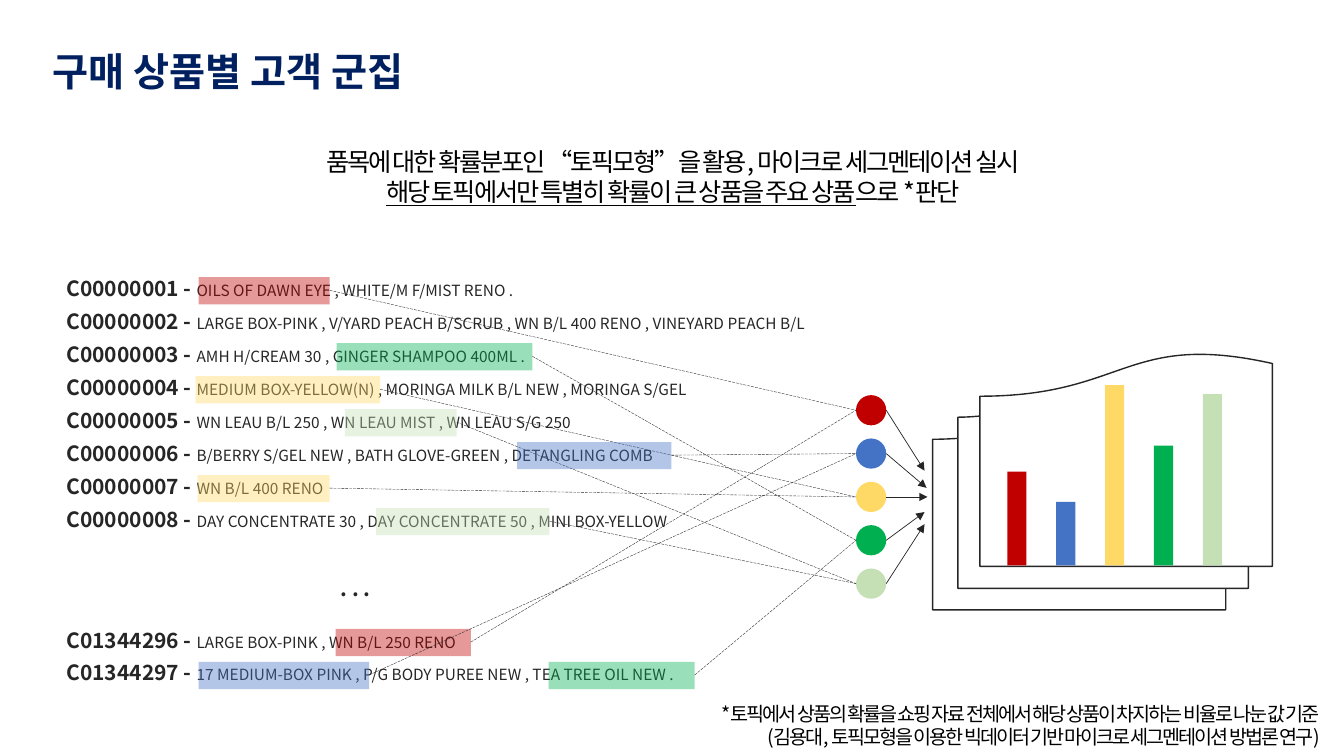
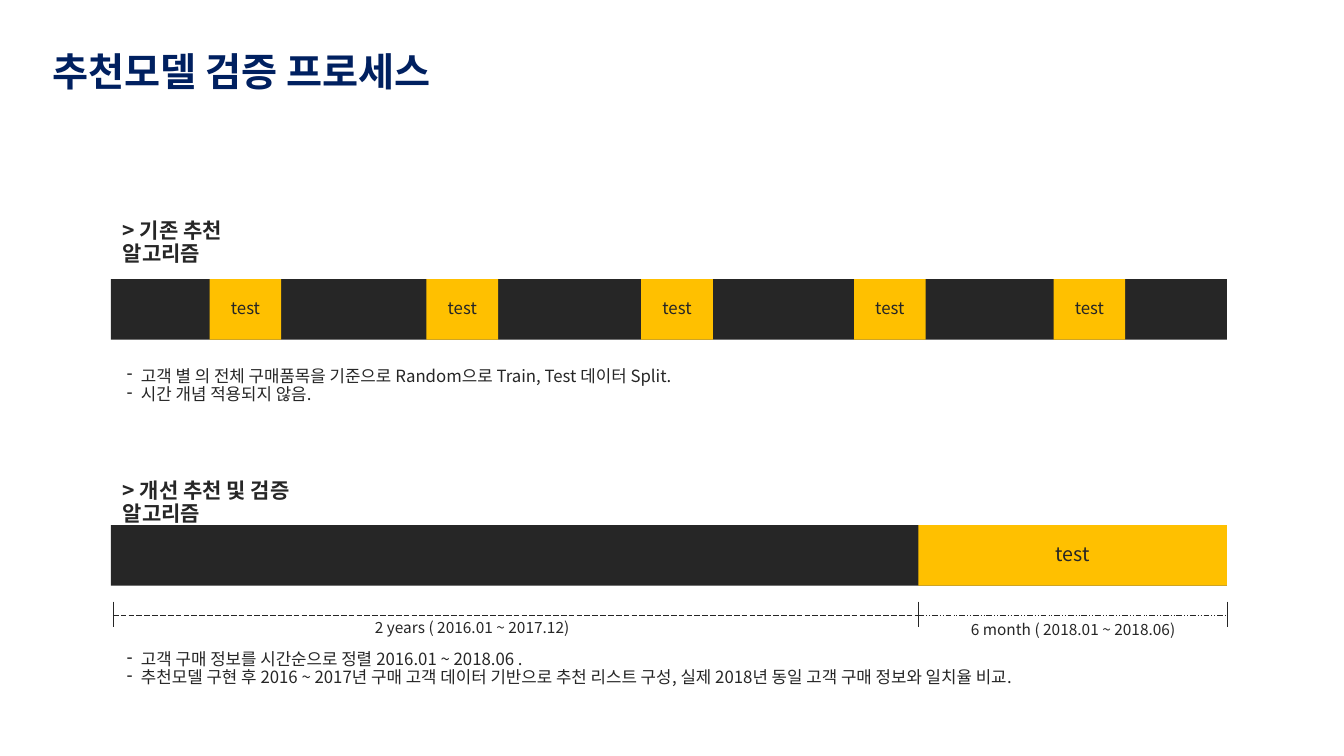
from pptx import Presentation
from pptx.dml.color import RGBColor
from pptx.enum.dml import MSO_LINE
from pptx.enum.shapes import MSO_CONNECTOR, MSO_SHAPE
from pptx.enum.text import MSO_ANCHOR, PP_ALIGN
from pptx.oxml.ns import qn
from pptx.util import Inches, Pt

RECT, OVAL = MSO_SHAPE.RECTANGLE, MSO_SHAPE.OVAL
PAPERS = MSO_SHAPE.FLOWCHART_MULTIDOCUMENT
STRAIGHT = MSO_CONNECTOR.STRAIGHT
LEFT, CENTER, RIGHT = PP_ALIGN.LEFT, PP_ALIGN.CENTER, PP_ALIGN.RIGHT
TOP, MIDDLE = MSO_ANCHOR.TOP, MSO_ANCHOR.MIDDLE
DASH, DASH_DOT = MSO_LINE.LONG_DASH, MSO_LINE.DASH_DOT_DOT

# Shared look
FONT = "Noto Sans CJK KR"
NAVY, INK, BLACK, AMBER = "002060", "262626", "000000", "FFC000"
TITLE = {"size": 28, "bold": True, "color": NAVY}
HEADING = {"size": 15, "bold": True}
ITEM = {"size": 11, "bold": False}
BODY = {"size": 12}
INTRO = {"size": 18, "color": BLACK, "spacing": -1.5}
FOOTNOTE = {"size": 14, "color": BLACK, "spacing": -1.5}

# Topics: colour, bar height, arrow end
TOPICS = {
    "red": ("C00000", 0.93, (9.17, 4.67)),
    "blue": ("4472C4", 0.63, (9.19, 4.84)),
    "yellow": ("FFD966", 1.79, (9.2, 4.93)),
    "green": ("00B050", 1.19, (9.17, 5.08)),
    "pale": ("C5E0B4", 1.7, (9.17, 5.2)),
}
TOPIC_X, TOPIC_Y, TOPIC_SIZE, TOPIC_STEP = 8.49, 3.92, 0.3, 0.43

# Customers: id, purchases, highlights (left, width, topic)
FIRST_ROWS = [
    ("C00000001", "OILS OF DAWN EYE , WHITE/M F/MIST RENO .", [(1.97, 1.3, "red")]),
    ("C00000002", "LARGE BOX-PINK , V/YARD PEACH B/SCRUB , WN B/L 400 RENO , "
                  "VINEYARD PEACH B/L", []),
    ("C00000003", "AMH H/CREAM 30 , GINGER SHAMPOO 400ML .", [(3.34, 1.94, "green")]),
    ("C00000004", "MEDIUM BOX-YELLOW(N) , MORINGA MILK B/L NEW , MORINGA S/GEL",
     [(1.94, 1.83, "yellow")]),
    ("C00000005", "WN LEAU B/L 250 , WN LEAU MIST , WN LEAU S/G 250",
     [(3.42, 1.11, "pale")]),
    ("C00000006", "B/BERRY S/GEL NEW , BATH GLOVE-GREEN , DETANGLING COMB",
     [(5.13, 1.53, "blue")]),
    ("C00000007", "WN B/L 400 RENO", [(1.96, 1.31, "yellow")]),
    ("C00000008", "DAY CONCENTRATE 30 , DAY CONCENTRATE 50 , MINI BOX-YELLOW",
     [(3.73, 1.72, "pale")]),
]
LAST_ROWS = [
    ("C01344296", "LARGE BOX-PINK , WN B/L 250 RENO", [(3.33, 1.34, "red")]),
    ("C01344297", "17 MEDIUM-BOX PINK , P/G BODY PUREE NEW , TEA TREE OIL NEW .",
     [(1.97, 1.69, "blue"), (5.44, 1.45, "green")]),
]
ROW_STEP = (5.0 - 2.71) / 7


def rgb(value):
    return RGBColor.from_string(value)


def add_run(p, text, size, color=INK, spacing=None, **fmt):
    r = p.add_run()
    r.text = text
    for name, value in {"name": FONT, "size": Pt(size), **fmt}.items():
        setattr(r.font, name, value)
    r.font.color.rgb = rgb(color)
    rPr = r._r.get_or_add_rPr()
    rPr.append(rPr.makeelement(qn("a:ea"), {"typeface": FONT}))
    if spacing:
        rPr.set("spc", str(int(spacing * 100)))


def fill_text(tf, paragraphs, align=LEFT, line_spacing=0.9, anchor=TOP, dash=False):
    """Each paragraph is a list of (text, format) runs."""
    tf.word_wrap = True
    tf.vertical_anchor = anchor
    for i, runs in enumerate(paragraphs):
        p = tf.paragraphs[0] if i == 0 else tf.add_paragraph()
        p.alignment = align
        p.line_spacing = line_spacing
        if dash:
            pPr = p._p.get_or_add_pPr()
            pPr.set("marL", str(Inches(0.18)))
            pPr.set("indent", str(-Inches(0.14)))
            pPr.append(pPr.makeelement(qn("a:buChar"), {"char": "-"}))
        for text, fmt in runs:
            add_run(p, text, **fmt)


def add_text(s, box, paragraphs, **layout):
    sp = s.shapes.add_textbox(*map(Inches, box))
    fill_text(sp.text_frame, paragraphs, **layout)


def add_shape(s, kind, box, fill=None, line=None, alpha=None):
    sp = s.shapes.add_shape(kind, *map(Inches, box))
    sp.shadow.inherit = False
    if fill:
        sp.fill.solid()
        sp.fill.fore_color.rgb = rgb(fill)
    else:
        sp.fill.background()
    if alpha:
        clr = sp._element.spPr.find(qn("a:solidFill"))[0]
        clr.append(clr.makeelement(qn("a:alpha"), {"val": str(alpha * 1000)}))
    if line:
        sp.line.color.rgb = rgb(line)
        sp.line.width = Pt(1)
    else:
        sp.line.fill.background()
    return sp


def add_line(s, start, end, width=0.5, dash=None, arrow=False):
    cx = s.shapes.add_connector(STRAIGHT, *map(Inches, (*start, *end)))
    cx.line.color.rgb = rgb(INK)
    cx.line.width = Pt(width)
    if dash:
        cx.line.dash_style = dash
    spPr = cx._element.spPr
    if arrow:
        ln = spPr.find(qn("a:ln"))
        ln.append(ln.makeelement(qn("a:tailEnd"), {"type": "triangle"}))
    spPr.append(spPr.makeelement(qn("a:effectLst"), {}))


def add_slide(prs, title):
    s = prs.slides.add_slide(prs.slide_layouts[5])
    sp = s.shapes.title
    box = {"left": 0.42, "top": 0.47, "width": 9.18, "height": 0.54}
    for name, value in box.items():
        setattr(sp, name, Inches(value))
    fill_text(sp.text_frame, [[(title, TITLE)]])
    return s


def add_test_block(s, left, top, width, size):
    sp = add_shape(s, RECT, (left, top, width, 0.6), AMBER)
    fill_text(sp.text_frame, [[("test", {"size": size})]], align=CENTER, anchor=MIDDLE)


def cluster_slide(prs):
    s = add_slide(prs, "구매 상품별 고객 군집")
    add_text(s, (0.46, 1.4, 12.43, 0.71), [
        [("품목에 대한 확률분포인 “토픽모형”을 활용, 마이크로 세그멘테이션 실시", INTRO)],
        [("해당 토픽에서만 특별히 확률이 큰 상품을 주요 상품", {**INTRO, "underline": True}),
         ("으로 *판단", INTRO)],
    ], align=CENTER, line_spacing=1.0)

    # Topics and the papers with their distribution
    add_shape(s, PAPERS, (9.25, 3.51, 3.37, 2.54), line=INK).rotation = 180
    centers = {}
    for i, (topic, (color, height, arrow_end)) in enumerate(TOPICS.items()):
        top = TOPIC_Y + i * TOPIC_STEP
        centers[topic] = top + TOPIC_SIZE / 2
        add_shape(s, OVAL, (TOPIC_X, top, TOPIC_SIZE, TOPIC_SIZE), color)
        add_line(s, (TOPIC_X + TOPIC_SIZE, centers[topic]), arrow_end, arrow=True)
        add_shape(s, RECT, (9.99 + i * 0.485, 5.61 - height, 0.19, height), color)

    # Customer rows, each highlight tied to its topic
    rows = [(2.71 + i * ROW_STEP, row) for i, row in enumerate(FIRST_ROWS)]
    rows += [(6.2 + i * ROW_STEP, row) for i, row in enumerate(LAST_ROWS)]
    for top, (customer, items, highlights) in rows:
        add_text(s, (0.56, top, 8, 0.33),
                 [[(f"{customer} - ", HEADING), (items, ITEM)]])
        for left, width, topic in highlights:
            add_shape(s, RECT, (left, top + 0.04, width, 0.27), TOPICS[topic][0], alpha=40)
            add_line(s, (left + width, top + 0.17), (TOPIC_X, centers[topic]), 0.25, DASH)
    add_text(s, (3.28, 5.69, 0.6, 0.33), [[(". . .", HEADING)]])

    add_text(s, (0.76, 6.91, 12.43, 0.57), [
        [("*토픽에서 상품의 확률을 쇼핑 자료 전체에서 해당 상품이 차지하는 비율로 나눈 값 기준", FOOTNOTE)],
        [("(김용대, 토픽모형을 이용한 빅데이터 기반 마이크로 세그멘테이션 방법론 연구)", FOOTNOTE)],
    ], align=RIGHT, line_spacing=1.0)


def validation_slide(prs):
    s = add_slide(prs, "추천모델 검증 프로세스")

    # Headings, data bars and notes of both methods
    methods = [
        (2.14, 1.94, "> 기존 추천 알고리즘", 2.77, 3.6, [
            "고객 별 의 전체 구매품목을 기준으로 Random으로 Train, Test 데이터 Split.",
            "시간 개념 적용되지 않음."]),
        (4.72, 2.6, "> 개선 추천 및 검증 알고리즘", 5.21, 6.41, [
            "고객 구매 정보를 시간순으로 정렬 2016.01 ~ 2018.06 .",
            "추천모델 구현 후 2016 ~ 2017년 구매 고객 데이터 기반으로 추천 리스트 구성, "
            "실제 2018년 동일 고객 구매 정보와 일치율 비교."]),
    ]
    for top, width, heading, bar_top, notes_top, notes in methods:
        add_shape(s, RECT, (1.1, bar_top, 11.07, 0.6), INK)
        add_text(s, (1.12, top, width, 0.33), [[(heading, HEADING)]])
        add_text(s, (1.12, notes_top, 10.18, 0.46),
                 [[(note, BODY)] for note in notes], dash=True)

    # Test parts
    for left in (2.08, 4.23, 6.36, 8.47, 10.45):
        add_test_block(s, left, 2.77, 0.71, 12)
    add_test_block(s, 9.11, 5.21, 3.06, 14)

    # Time scale
    for x in (1.12, 9.11, 12.17):
        add_line(s, (x, 5.97), (x, 6.22))
    spans = [
        (1.12, 9.11, DASH, 3.62, 6.1, "2 years ( 2016.01 ~ 2017.12)"),
        (9.11, 12.17, DASH_DOT, 9.53, 6.12, "6 month ( 2018.01 ~ 2018.06)"),
    ]
    for start, end, dash, left, top, label in spans:
        add_line(s, (start, 6.1), (end, 6.1), dash=dash)
        add_text(s, (left, top, 2.41, 0.27), [[(label, ITEM)]])


def main():
    prs = Presentation()
    prs.slide_width, prs.slide_height = Inches(13.33), Inches(7.5)
    cluster_slide(prs)
    validation_slide(prs)
    prs.save("out.pptx")


if __name__ == "__main__":
    main()
